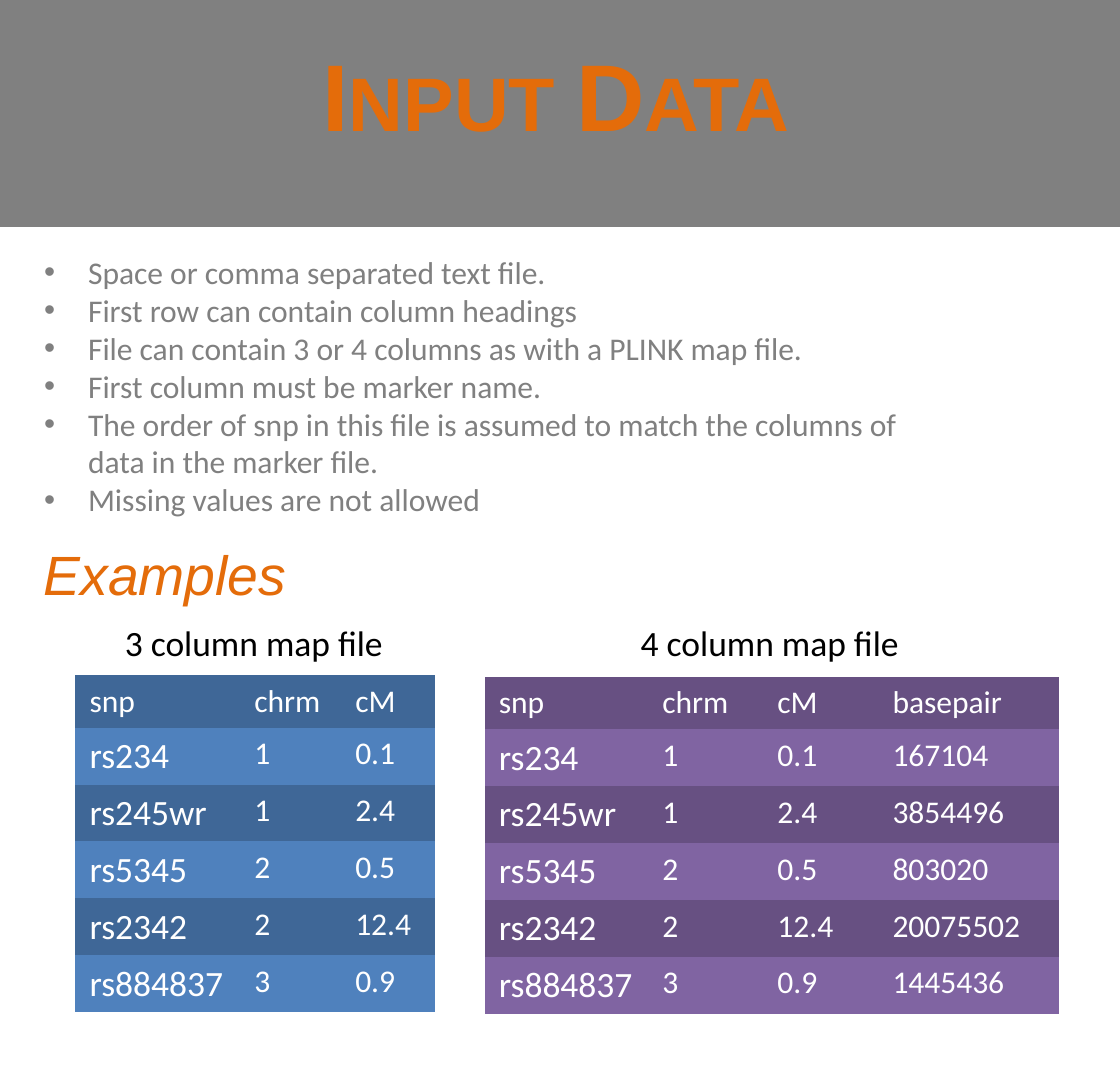
from pptx import Presentation
from pptx.dml.color import RGBColor
from pptx.enum.shapes import MSO_SHAPE
from pptx.enum.text import MSO_ANCHOR, MSO_AUTO_SIZE, PP_ALIGN
from pptx.oxml.ns import qn
from pptx.util import Inches, Pt

ORANGE, GREY, WHITE, BLACK = "E46C0A", "808080", "FFFFFF", "000000"
BLUES = ("3F6797", "4F81BD")
PURPLES = ("675082", "8064A2")
NO_STYLE = "{2D5ABB26-0587-4C30-8999-92F81FD0307C}"

RULES = [
    "Space or comma separated text file.",
    "First row can contain column headings",
    "File can contain 3 or 4 columns as with a PLINK map file.",
    "First column must be marker name.",
    "The order of snp in this file is assumed to match the columns of data in the marker file.",
    "Missing values are not allowed",
]
FOUR_COLUMN_MAP = [
    ("snp", "chrm", "cM", "basepair"),
    ("rs234", "1", "0.1", "167104"),
    ("rs245wr", "1", "2.4", "3854496"),
    ("rs5345", "2", "0.5", "803020"),
    ("rs2342", "2", "12.4", "20075502"),
    ("rs884837", "3", "0.9", "1445436"),
]
THREE_COLUMN_MAP = [row[:3] for row in FOUR_COLUMN_MAP]


def paint(color_format, color):
    color_format.rgb = RGBColor.from_string(color)


def fill_with(target, color):
    target.fill.solid()
    paint(target.fill.fore_color, color)


def style(paragraph, size, color, face="Calibri", bold=False, italic=False):
    font = paragraph.font
    font.name, font.size = face, Pt(size)
    font.bold, font.italic = bold, italic
    paint(font.color, color)


def place(shape, left, top, width, height):
    shape.left, shape.top = Inches(left), Inches(top)
    shape.width, shape.height = Inches(width), Inches(height)


def add_band(slide):
    band = slide.shapes.add_shape(
        MSO_SHAPE.RECTANGLE, Inches(-0.08), Inches(-0.04), Inches(8.05), Inches(1.64))
    band.shadow.inherit = False
    fill_with(band, GREY)
    paint(band.line.color, WHITE)
    band.line.width = Pt(0.75)
    slide.shapes.title._element.addprevious(band._element)


def set_title(title, text):
    place(title, 2.17, 0.21, 3.56, 0.91)
    frame = title.text_frame
    frame.text = text
    frame.word_wrap = False
    frame.auto_size = MSO_AUTO_SIZE.NONE
    frame.vertical_anchor = MSO_ANCHOR.TOP
    heading = frame.paragraphs[0]
    heading.alignment = PP_ALIGN.LEFT
    style(heading, 48, ORANGE, "Arial", bold=True)
    heading._p.pPr.find(qn("a:defRPr")).set("cap", "small")


def set_rules(body, rules):
    place(body, 0.21, 1.73, 6.4, 2.89)
    frame = body.text_frame
    frame.text = "\n".join(rules)
    frame.auto_size = MSO_AUTO_SIZE.NONE
    for rule in frame.paragraphs:
        rule.space_before = Pt(0)
        properties = rule._p.get_or_add_pPr()
        properties.set("marL", str(Inches(0.31)))
        properties.set("indent", str(Inches(-0.31)))
        style(rule, 16, GREY)


def add_label(slide, text, left, top, width, height, size, color, face="Calibri", italic=False):
    label = slide.shapes.add_textbox(
        Inches(left), Inches(top), Inches(width), Inches(height))
    label.text_frame.text = text
    label.text_frame.word_wrap = False
    style(label.text_frame.paragraphs[0], size, color, face, italic=italic)


def add_map_table(slide, rows, left, top, widths, shades):
    heights = [0.37] + [0.4] * (len(rows) - 1)
    table = slide.shapes.add_table(
        len(rows), len(widths), Inches(left), Inches(top),
        Inches(sum(widths)), Inches(sum(heights))).table
    table._tbl.tblPr.find(qn("a:tableStyleId")).text = NO_STYLE
    table.first_row = table.horz_banding = False
    for column, width in zip(table.columns, widths):
        column.width = Inches(width)
    for r, (values, height) in enumerate(zip(rows, heights)):
        table.rows[r].height = Inches(height)
        for c, value in enumerate(values):
            cell = table.cell(r, c)
            cell.text = value
            fill_with(cell, shades[r % 2])
            is_marker = r > 0 and c == 0
            if is_marker:
                cell.margin_right = Inches(0.05)
            style(cell.text_frame.paragraphs[0], 18 if is_marker else 16, WHITE)


def main():
    deck = Presentation()
    deck.slide_width, deck.slide_height = Inches(7.88), Inches(7.5)
    slide = deck.slides.add_slide(deck.slide_layouts[1])
    add_band(slide)
    set_title(slide.shapes.title, "Input Data")
    set_rules(slide.placeholders[1], RULES)
    add_label(slide, "Examples", 0.21, 3.75, 1.93, 0.57, 28, ORANGE, "Arial", italic=True)
    add_map_table(slide, THREE_COLUMN_MAP, 0.53, 4.75, [1.16, 0.71, 0.66], BLUES)
    add_map_table(slide, FOUR_COLUMN_MAP, 3.41, 4.76, [1.15, 0.81, 0.81, 1.27], PURPLES)
    add_label(slide, "3 column map file", 0.78, 4.32, 2.04, 0.4, 18, BLACK)
    add_label(slide, "4 column map file", 4.41, 4.32, 2.04, 0.4, 18, BLACK)
    deck.save("out.pptx")


if __name__ == "__main__":
    main()
